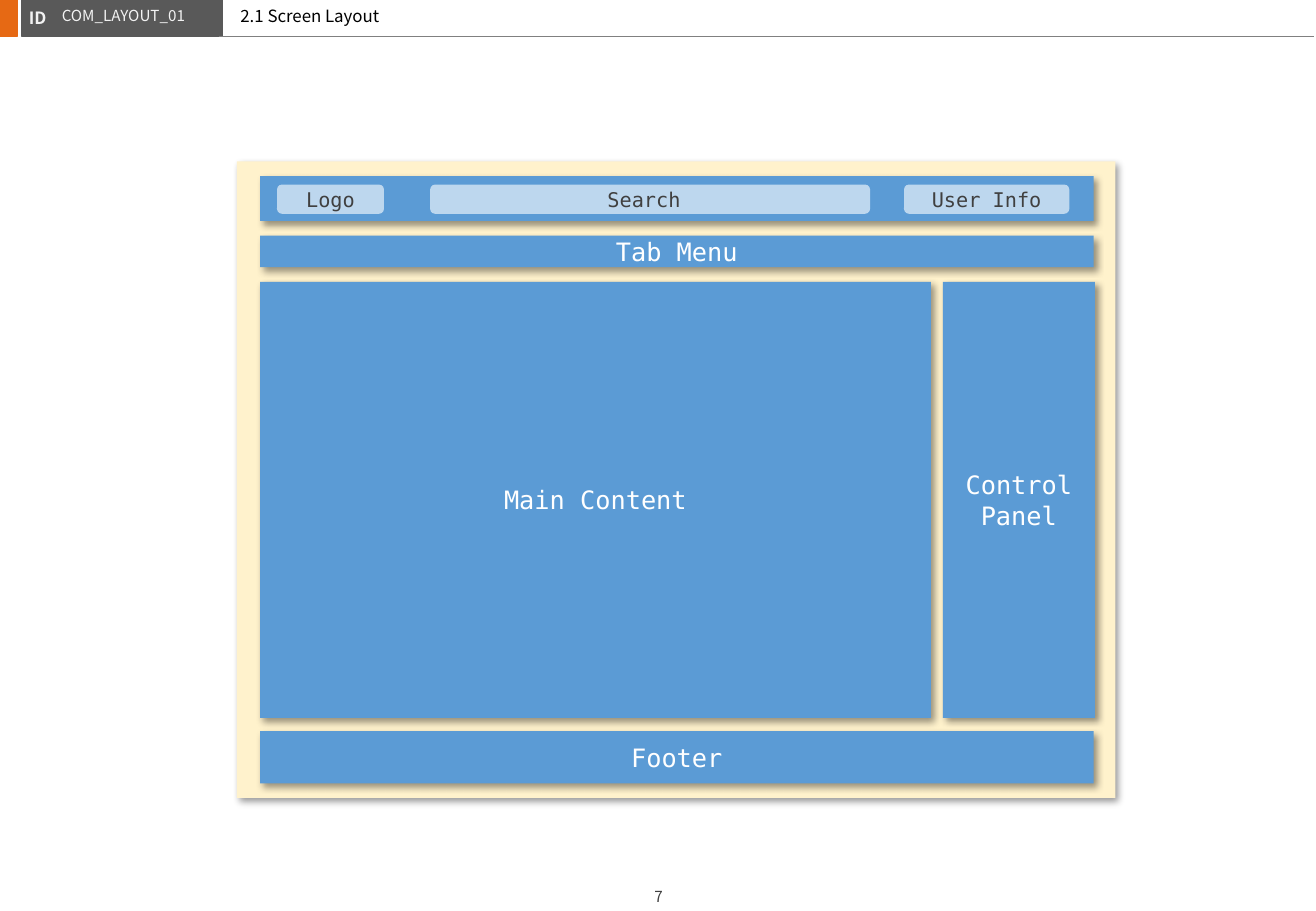
from dataclasses import dataclass

import pptx
import pptx.enum.shapes
import pptx.enum.text
import pptx.oxml
import pptx.oxml.ns
import pptx.util
from pptx.dml.color import RGBColor

PX = 9144
HEADER_FONT = "Noto Sans CJK KR"
PANEL_FONT = "DejaVu Sans Mono"

BLACK = RGBColor(0x00, 0x00, 0x00)
WHITE = RGBColor(0xFF, 0xFF, 0xFF)
OFF_WHITE = RGBColor(0xF2, 0xF2, 0xF2)
DARK_GRAY = RGBColor(0x40, 0x40, 0x40)
HEADER_GRAY = RGBColor(0x59, 0x59, 0x59)
RULE_GRAY = RGBColor(0x80, 0x80, 0x80)
ORANGE = RGBColor(0xE6, 0x69, 0x14)
CREAM = RGBColor(0xFF, 0xF2, 0xCC)
BLUE = RGBColor(0x5B, 0x9B, 0xD5)
PALE_BLUE = RGBColor(0xBD, 0xD7, 0xEE)

RECTANGLE = pptx.enum.shapes.MSO_SHAPE.RECTANGLE
ROUNDED = pptx.enum.shapes.MSO_SHAPE.ROUNDED_RECTANGLE
LEFT = pptx.enum.text.PP_ALIGN.LEFT
CENTER = pptx.enum.text.PP_ALIGN.CENTER
MIDDLE = pptx.enum.text.MSO_ANCHOR.MIDDLE

DRAWING_NS = pptx.oxml.ns.nsdecls("a")
NO_EFFECTS_XML = f"<a:effectLst {DRAWING_NS}/>"
SHADOW_XML = (
    f'<a:outerShdw {DRAWING_NS} blurRad="50800" dist="38100" '
    'dir="2700000" algn="tl" rotWithShape="0">'
    '<a:srgbClr val="000000"><a:alpha val="40000"/></a:srgbClr></a:outerShdw>'
)


@dataclass(frozen=True)
class Box:
    left: int
    top: int
    width: int
    height: int

    def emu(self) -> tuple[int, int, int, int]:
        return self.left * PX, self.top * PX, self.width * PX, self.height * PX


@dataclass(frozen=True)
class Panel:
    box: Box
    label: str = ""
    fill: RGBColor = BLUE
    outline: pptx.enum.shapes.MSO_SHAPE = RECTANGLE


@dataclass(frozen=True)
class Label:
    box: Box
    text: str
    size: int
    color: RGBColor
    bold: bool = False
    wrap: bool = True
    align: pptx.enum.text.PP_ALIGN = LEFT
    line_spacing: float = 1.0


HEADER_BLOCKS = [
    Panel(Box(0, 0, 14, 30), fill=ORANGE),
    Panel(Box(18, 0, 165, 30), fill=HEADER_GRAY),
]

LABELS = [
    Label(Box(14, 1, 35, 27), "ID", 10, OFF_WHITE, bold=True, wrap=False),
    Label(Box(520, 726, 44, 24), "7", 9, DARK_GRAY, align=CENTER),
    Label(Box(188, 1, 732, 26), "2.1 Screen Layout", 10, BLACK, line_spacing=0.9),
    Label(Box(41, 2, 135, 23), "COM_LAYOUT_01", 9, OFF_WHITE, line_spacing=0.9),
]

REGIONS = [
    Panel(Box(195, 133, 723, 524), fill=CREAM),
    Panel(Box(214, 145, 686, 37)),
    Panel(Box(214, 194, 686, 26), "Tab Menu"),
    Panel(Box(214, 232, 552, 359), "Main Content"),
    Panel(Box(776, 232, 125, 359), "Control\nPanel"),
    Panel(Box(214, 602, 686, 43), "Footer"),
]

TOP_BAR_ITEMS = [
    Panel(Box(left, 152, width, 24), label, PALE_BLUE, ROUNDED)
    for left, width, label in [
        (228, 88, "Logo"),
        (354, 362, "Search "),
        (744, 136, "User Info"),
    ]
]


def style_paragraphs(
    frame: pptx.text.text.TextFrame,
    font: str,
    size: int,
    color: RGBColor,
    align: pptx.enum.text.PP_ALIGN,
) -> None:
    for paragraph in frame.paragraphs:
        paragraph.alignment = align
        paragraph.font.name = font
        paragraph.font.size = pptx.util.Pt(size)
        paragraph.font.color.rgb = color


def draw_block(
    shapes: pptx.shapes.shapetree.SlideShapes, panel: Panel
) -> pptx.shapes.autoshape.Shape:
    block = shapes.add_shape(panel.outline, *panel.box.emu())
    block.shadow.inherit = False
    block.fill.solid()
    block.fill.fore_color.rgb = panel.fill
    block.line.fill.background()
    return block


def draw_header_block(
    shapes: pptx.shapes.shapetree.SlideShapes, panel: Panel
) -> None:
    block = draw_block(shapes, panel)
    block.line.color.rgb = panel.fill
    block.line.width = pptx.util.Pt(1)


def write_panel_label(
    block: pptx.shapes.autoshape.Shape, label: str, size: int, color: RGBColor
) -> None:
    frame = block.text_frame
    frame.margin_left = frame.margin_right = 0
    frame.margin_top = frame.margin_bottom = 0
    frame.vertical_anchor = MIDDLE
    frame.text = label
    style_paragraphs(frame, PANEL_FONT, size, color, CENTER)


def draw_region(shapes: pptx.shapes.shapetree.GroupShapes, panel: Panel) -> None:
    block = draw_block(shapes, panel)
    effects = block._element.spPr.find(pptx.oxml.ns.qn("a:effectLst"))
    effects.append(pptx.oxml.parse_xml(SHADOW_XML))
    if panel.label:
        write_panel_label(block, panel.label, 15, WHITE)


def draw_top_bar_item(
    shapes: pptx.shapes.shapetree.GroupShapes, panel: Panel
) -> None:
    write_panel_label(draw_block(shapes, panel), panel.label, 12, DARK_GRAY)


def draw_label(shapes: pptx.shapes.shapetree.SlideShapes, label: Label) -> None:
    frame = shapes.add_textbox(*label.box.emu()).text_frame
    frame.word_wrap = label.wrap
    frame.vertical_anchor = MIDDLE
    frame.margin_top = frame.margin_bottom = 0
    frame.text = label.text
    style_paragraphs(frame, HEADER_FONT, label.size, label.color, label.align)
    paragraph = frame.paragraphs[0]
    paragraph.font.bold = label.bold
    paragraph.line_spacing = label.line_spacing


def draw_header_rule(shapes: pptx.shapes.shapetree.SlideShapes) -> None:
    rule = shapes.add_connector(
        pptx.enum.shapes.MSO_CONNECTOR.STRAIGHT, 180 * PX, 30 * PX, 1081 * PX, 30 * PX
    )
    rule.line.color.rgb = RULE_GRAY
    rule.line.width = pptx.util.Pt(0.5)
    rule._element.spPr.append(pptx.oxml.parse_xml(NO_EFFECTS_XML))


def main() -> None:
    deck = pptx.Presentation()
    deck.slide_width = 1083 * PX
    deck.slide_height = 750 * PX
    slide = deck.slides.add_slide(deck.slide_layouts[6])

    for block in HEADER_BLOCKS:
        draw_header_block(slide.shapes, block)
    draw_header_rule(slide.shapes)
    for label in LABELS:
        draw_label(slide.shapes, label)

    screen = slide.shapes.add_group_shape().shapes
    for region in REGIONS:
        draw_region(screen, region)
    for item in TOP_BAR_ITEMS:
        draw_top_bar_item(screen, item)

    deck.save("out.pptx")


if __name__ == "__main__":
    main()
